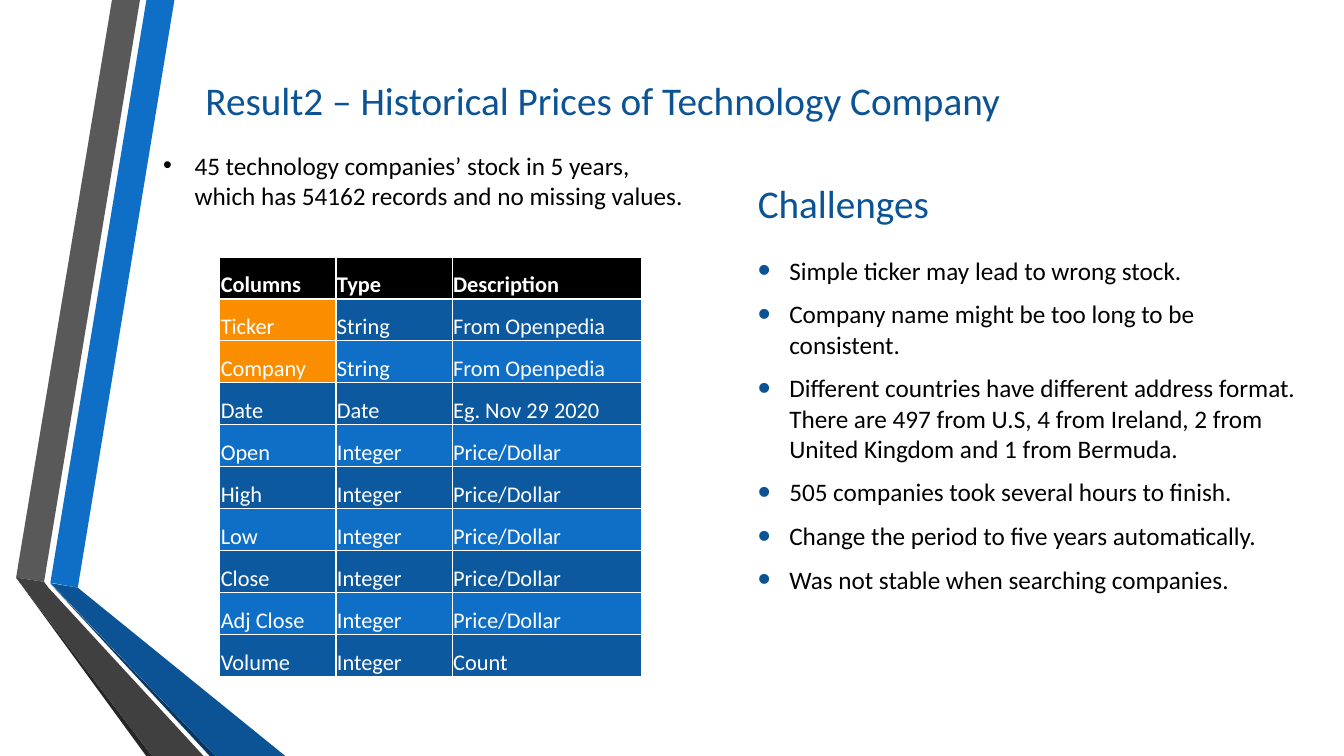
"""Build the slide on historical stock prices and the challenges met."""
from lxml.etree import SubElement
from pptx import Presentation
from pptx.dml.color import RGBColor
from pptx.enum.text import MSO_ANCHOR
from pptx.oxml.ns import qn
from pptx.util import Pt


def paint(color, hue):
    color.rgb = RGBColor.from_string(hue)


def write(para, text, size, hue, bold=False):
    run = para.add_run()
    run.text = text
    run.font.name = "Calibri"
    run.font.size = Pt(size)
    run.font.bold = bold
    paint(run.font.color, hue)


deck = Presentation()
deck.slide_width, deck.slide_height = Pt(960), Pt(540)
slide = deck.slides.add_slide(deck.slide_layouts[6])
shapes = slide.shapes

bands = [
    ("0F6FC6", [(36, 416.2), (55.6, 419.8), (124.6, 0), (104.6, 0)]),
    ("595959", [(100, 0), (80, 0), (11.5, 412.6), (31.5, 415.6)]),
    ("262626", [(11.5, 412.6), (104.4, 540), (108.7, 540)]),
    ("083763", [(36, 417), (149.8, 540), (154, 540)]),
    ("0B5394", [(36, 416.5), (154, 540), (203.8, 540), (55.6, 419.8)]),
    ("404040", [(145.4, 540), (34.6, 419.8), (31.5, 415.6), (11.5, 412.6), (108.7, 540)]),
]
for hue, dots in bands:
    ends = [(Pt(x), Pt(y)) for x, y in dots]
    pen = shapes.build_freeform(*ends[0])
    pen.add_line_segments(ends[1:], close=True)
    band = pen.convert_to_shape()
    band.shadow.inherit = False
    band.fill.solid()
    paint(band.fill.fore_color, hue)
    band.line.fill.background()

heads = [
    ("Result2 – Historical Prices of Technology Company", 139.7, 46.1, 694),
    ("Challenges", 534.2, 119.5, 364),
]
for text, left, top, width in heads:
    frame = shapes.add_textbox(Pt(left), Pt(top), Pt(width), Pt(45.4)).text_frame
    frame.word_wrap = True
    frame.vertical_anchor = MSO_ANCHOR.BOTTOM
    write(frame.paragraphs[0], text, 28, "0B5394")

issues = [
    "Simple ticker may lead to wrong stock.",
    "Company name might be too long to be consistent.",
    "Different countries have different address format. There are 497 from U.S, "
    "4 from Ireland, 2 from United Kingdom and 1 from Bermuda.",
    "505 companies took several hours to finish.",
    "Change the period to five years automatically.",
    "Was not stable when searching companies.",
]
facts = [
    "45 technology companies’ stock in 5 years, "
    "which has 54162 records and no missing values.",
]
lists = [
    (issues, 534.2, 178.6, 402.5, 314.6, "0B5394", 145),
    (facts, 109.4, 103.7, 391, 51, "000000", 100),
]
for items, left, top, width, height, hue, scale in lists:
    frame = shapes.add_textbox(Pt(left), Pt(top), Pt(width), Pt(height)).text_frame
    frame.word_wrap = True
    for index, item in enumerate(items):
        para = frame.add_paragraph() if index else frame.paragraphs[0]
        props = para._p.get_or_add_pPr()
        props.set("marL", str(Pt(22.5)))
        props.set("indent", str(-Pt(22.5)))
        tint = SubElement(props, qn("a:buClr"))
        SubElement(tint, qn("a:srgbClr"), val=hue)
        SubElement(props, qn("a:buSzPct"), val=str(scale * 1000))
        SubElement(props, qn("a:buFont"), typeface="Arial")
        SubElement(props, qn("a:buChar"), char="•")
        if len(items) > 1:
            para.space_before = Pt(3.6 if index else 0)
            para.space_after = Pt(6)
        write(para, item, 18, "000000")

rows = [
    ("Columns", "Type", "Description"),
    ("Ticker", "String", "From Openpedia"),
    ("Company", "String", "From Openpedia"),
    ("Date", "Date", "Eg. Nov 29 2020"),
    ("Open", "Integer", "Price/Dollar"),
    ("High", "Integer", "Price/Dollar"),
    ("Low", "Integer", "Price/Dollar"),
    ("Close", "Integer", "Price/Dollar"),
    ("Adj Close", "Integer", "Price/Dollar"),
    ("Volume", "Integer", "Count"),
]
table = shapes.add_table(len(rows), 3, Pt(157), Pt(183.6), Pt(301), Pt(299.5)).table
for column, width in zip(table.columns, (83, 83, 135)):
    column.width = Pt(width)
for r, row in enumerate(rows):
    table.rows[r].height = Pt(29.95)
    for c, text in enumerate(row):
        cell = table.cell(r, c)
        cell.margin_left = cell.margin_right = cell.margin_top = Pt(0.7)
        cell.margin_bottom = Pt(0)
        cell.vertical_anchor = MSO_ANCHOR.BOTTOM
        if r == 0:
            hue = "000000"
            edge = SubElement(cell._tc.get_or_add_tcPr(), qn("a:lnB"), w=str(Pt(2)))
            solid = SubElement(edge, qn("a:solidFill"))
            SubElement(solid, qn("a:srgbClr"), val="FFFFFF")
        elif c == 0 and r < 3:
            hue = "FA8E00"
        else:
            hue = "0C599F" if r % 2 else "0F6FC6"
        cell.fill.solid()
        paint(cell.fill.fore_color, hue)
        write(cell.text_frame.paragraphs[0], text, 16, "FFFFFF", r == 0)

deck.save("out.pptx")
